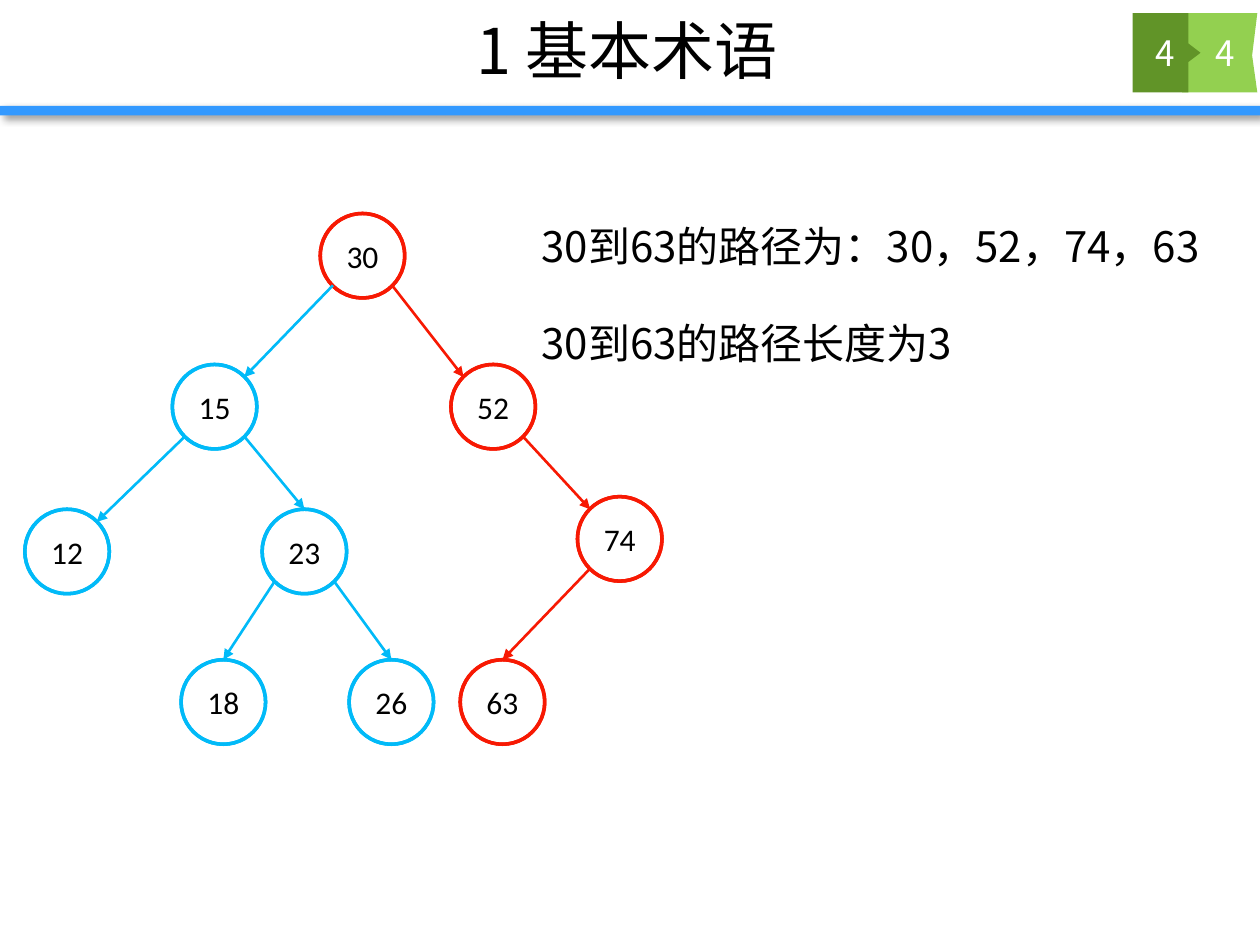
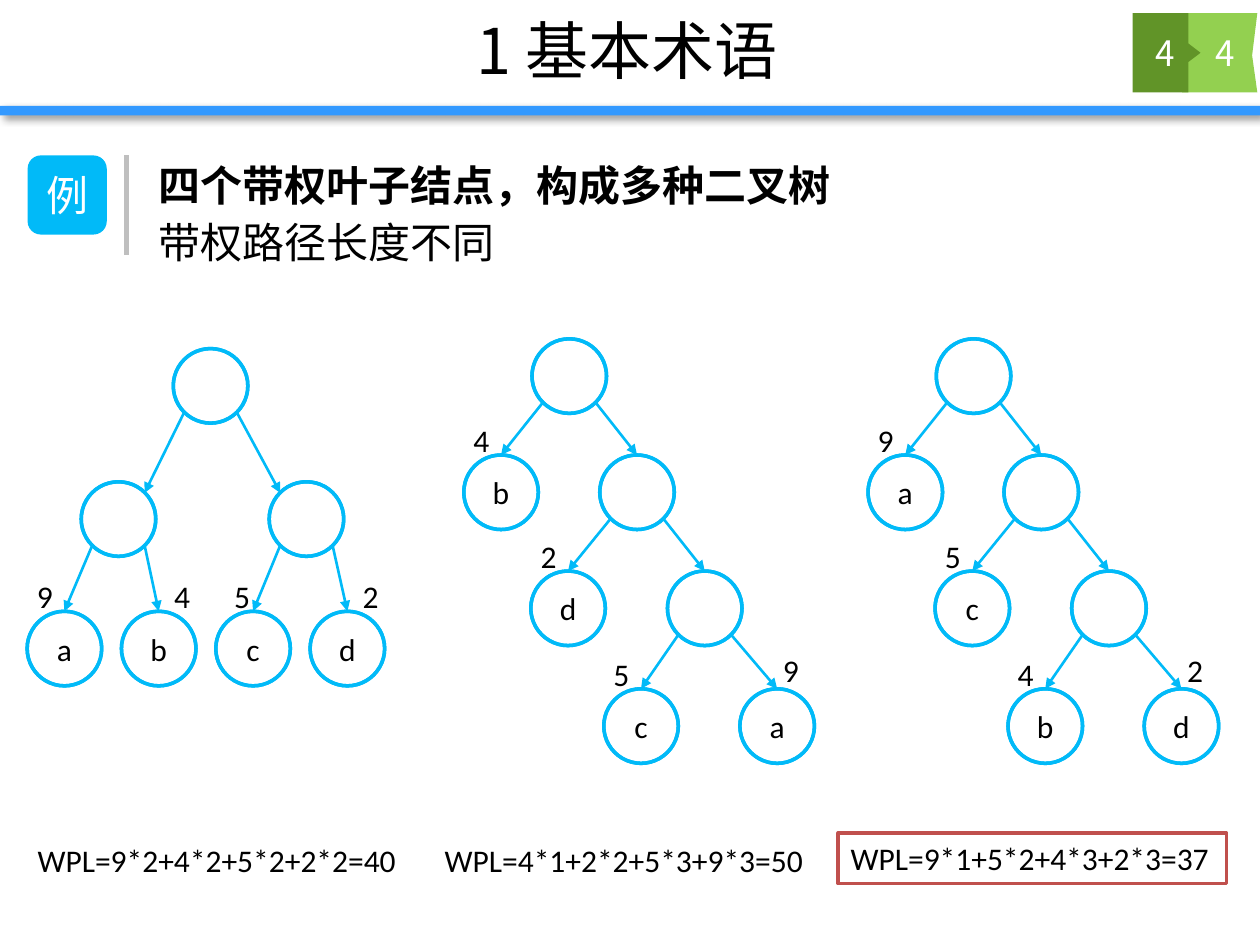
from pptx import Presentation
from pptx.dml.color import RGBColor
from pptx.enum.shapes import MSO_CONNECTOR, MSO_SHAPE
from pptx.enum.text import MSO_ANCHOR, PP_ALIGN
from pptx.oxml import parse_xml
from pptx.oxml.ns import nsdecls, qn
from pptx.util import Pt

# Shared look
SANS, LATIN = "Noto Sans CJK SC", "Calibri"
BLACK, WHITE, GREY = "000000", "FFFFFF", "BFBFBF"
SKY, RED, BRICK = "01BAF8", "F71903", "C0504D"
BAND, LIME, MOSS = "3399FF", "93D050", "619428"
LEFT, MID = PP_ALIGN.LEFT, PP_ALIGN.CENTER


def rgb(code):
    return RGBColor.from_string(code)


# Basic elements
def write(shape, text, size, font=SANS, ink=BLACK, bold=False, align=LEFT,
          anchor=MSO_ANCHOR.TOP, wrap=True, space=None):
    frame = shape.text_frame
    frame.text = text
    frame.word_wrap = wrap
    frame.vertical_anchor = anchor
    para = frame.paragraphs[0]
    para.alignment = align
    para.line_spacing = space
    for run in para.runs:
        run.font.name, run.font.size = font, Pt(size)
        run.font.bold = bold
        run.font.color.rgb = rgb(ink)
        run.font._element.find(qn("a:latin")).addnext(
            parse_xml(f'<a:ea {nsdecls("a")} typeface="{font}"/>'))


def label(slide, box, text, size, **style):
    write(slide.shapes.add_textbox(*map(Pt, box)), text, size, **style)


def paint(shape, fill, edge=None, width=2):
    shape.shadow.inherit = False
    shape.fill.solid()
    shape.fill.fore_color.rgb = rgb(fill)
    if edge:
        shape.line.color.rgb = rgb(edge)
        shape.line.width = Pt(width)
    else:
        shape.line.fill.background()


def block(slide, kind, box, fill, edge=None):
    shape = slide.shapes.add_shape(kind, *map(Pt, box))
    paint(shape, fill, edge)
    return shape


def shade(shape):
    shape._element.spPr.find(qn("a:effectLst")).append(parse_xml(
        f'<a:outerShdw {nsdecls("a")} blurRad="{Pt(4)}" dist="{Pt(3)}" '
        'dir="2700000" algn="tl" rotWithShape="0"><a:srgbClr val="000000">'
        '<a:alpha val="40000"/></a:srgbClr></a:outerShdw>'))


def outline(slide, points, fill):
    first, *rest = [(Pt(x), Pt(y)) for x, y in points]
    form = slide.shapes.build_freeform(*first)
    form.add_line_segments(rest, close=True)
    paint(form.convert_to_shape(), fill)


def stroke(slide, start, end, ink, width=1.5, arrow=True):
    line = slide.shapes.add_connector(
        MSO_CONNECTOR.STRAIGHT, *map(Pt, (*start, *end)))
    line.line.color.rgb = rgb(ink)
    line.line.width = Pt(width)
    if arrow:
        line.line._get_or_add_ln().append(
            parse_xml(f'<a:tailEnd {nsdecls("a")} type="triangle"/>'))
    line._element.spPr.append(parse_xml(f'<a:effectLst {nsdecls("a")}/>'))


# Tree elements
def node(slide, x, y, size, text="", ink=SKY):
    ring = block(slide, MSO_SHAPE.DONUT, (x, y, size, size),
                 RED if ink == RED else MOSS, ink)
    ring.adjustments[0] = 0
    if text:
        write(ring, text, 18, LATIN, align=MID, anchor=MSO_ANCHOR.MIDDLE,
              wrap=False)


def edge(slide, top, low, size, ink=SKY, corner=False):
    """Arrow from a parent's lower side to a child's top or near corner."""
    near, far = (0.85, 0.15) if low[0] > top[0] else (0.15, 0.85)
    tip = (far, 0.15) if corner else (0.5, 0)
    stroke(slide, (top[0] + near * size, top[1] + 0.85 * size),
           (low[0] + tip[0] * size, low[1] + tip[1] * size), ink)


def weight(slide, spot, text, dx=-1.5, dy=-23):
    label(slide, (spot[0] + dx, spot[1] + dy, 22.5, 29), text, 18, font=LATIN)


def head(deck):
    slide = deck.slides.add_slide(deck.slide_layouts[6])
    shade(block(slide, MSO_SHAPE.RECTANGLE, (0, 60.5, 720, 5.5), BAND))
    outline(slide, [(675.5, 7.5), (718.5, 7.5), (715.5, 31.7), (718.5, 52.8),
                    (675.5, 52.8)], LIME)
    outline(slide, [(647.2, 7.5), (679, 7.5), (679, 24.8), (686, 30.2),
                    (679, 35.5), (679, 52.8), (647.2, 52.8)], MOSS)
    label(slide, (70.5, 0.5, 575.5, 55.5), "1 基本术语", 36, align=MID,
          anchor=MSO_ANCHOR.MIDDLE)
    for x in (678, 643.5):
        label(slide, (x, 7.5, 44.6, 45.3), "4", 20, ink=WHITE, align=MID,
              anchor=MSO_ANCHOR.MIDDLE)
    return slide


# Slide 1: path between two nodes
def route(deck):
    slide, size = head(deck), 48.3
    spots = {"30": (183, 122), "15": (98.5, 208.3), "52": (257.7, 208.3),
             "12": (14.2, 291), "23": (149.8, 291), "74": (330, 283.8),
             "18": (103.5, 377), "26": (199.5, 377), "63": (263, 377)}
    path = ["30", "52", "74", "63"]
    links = [("30", "15", True), ("30", "52", True), ("15", "12", True),
             ("15", "23", False), ("52", "74", True), ("74", "63", False),
             ("23", "18", False), ("23", "26", False)]
    for key, spot in spots.items():
        node(slide, *spot, size, key, RED if key in path else SKY)
    for top, low, corner in links:
        ink = RED if low in path else SKY
        edge(slide, spots[top], spots[low], size, ink, corner)
    label(slide, (302.4, 122.4, 404, 36), "30到63的路径为：30，52，74，63", 24)
    label(slide, (302.4, 177.8, 255.6, 36), "30到63的路径长度为3", 24)


# Slide 2: trees over the same four leaves
def even(slide, size=42.6):
    root, pair = (99, 199.2), [(46.4, 275.3), (153.8, 275.3)]
    node(slide, *root, size)
    for mid in pair:
        node(slide, *mid, size)
        edge(slide, root, mid, size, corner=True)
    leaves = [("a", "9", -1.5), ("b", "4", 23), ("c", "5", 3.5), ("d", "2", 23)]
    for i, (name, value, dx) in enumerate(leaves):
        leaf = (15.5 + 53.9 * i, 349.3)
        node(slide, *leaf, size, name)
        edge(slide, pair[i // 2], leaf, size)
        weight(slide, leaf, value, dx)


def chain(slide, x, leaves, size=42.6):
    """Each level hangs a leaf on the left and the next level on the right."""
    tops = [193.6, 260, 326.3, 393.6]
    stems = [(x + 39 + 38.7 * i, tops[i]) for i in range(3)]
    lefts = list(zip((x, x + 38.3, x + 80), tops[1:]))
    last = (x + 157.8, tops[3])
    for stem, leaf, right, (name, value) in zip(
            stems, lefts, stems[1:] + [last], leaves):
        node(slide, *stem, size)
        node(slide, *leaf, size, name)
        edge(slide, stem, leaf, size)
        edge(slide, stem, right, size)
        weight(slide, leaf, value)
    name, value = leaves[-1]
    node(slide, *last, size, name)
    weight(slide, last, value, 17.5, -25)


def compare(deck):
    slide = head(deck)
    tile = block(slide, MSO_SHAPE.ROUNDED_RECTANGLE, (15.8, 88.8, 45.2, 45.2),
                 SKY)
    write(tile, "例", 24, ink=WHITE, align=MID, anchor=MSO_ANCHOR.MIDDLE,
          wrap=False)
    stroke(slide, (72.5, 88.8), (72.5, 145.5), GREY, 3, arrow=False)
    label(slide, (83.5, 82, 420.5, 42.5), "四个带权叶子结点，构成多种二叉树", 24,
          bold=True, space=1.2)
    label(slide, (83.5, 114.5, 429, 42.5), "带权路径长度不同", 24, space=1.2)

    even(slide)
    chain(slide, 265, [("b", "4"), ("d", "2"), ("c", "5"), ("a", "9")])
    chain(slide, 496, [("a", "9"), ("c", "5"), ("b", "4"), ("d", "2")])

    # Weighted path lengths, the smallest one framed
    sums = [(14.4, "WPL=9*2+4*2+5*2+2*2=40"), (247, "WPL=4*1+2*2+5*3+9*3=50")]
    for x, text in sums:
        label(slide, (x, 476.8, 221.8, 29), text, 18, font=LATIN, wrap=False)
    best = block(slide, MSO_SHAPE.RECTANGLE, (479, 476, 221.8, 29), WHITE,
                 BRICK)
    write(best, "WPL=9*1+5*2+4*3+2*3=37", 18, LATIN, wrap=False)


def main():
    deck = Presentation()
    deck.slide_width, deck.slide_height = Pt(720), Pt(540)
    route(deck)
    compare(deck)
    deck.save("out.pptx")


if __name__ == "__main__":
    main()
